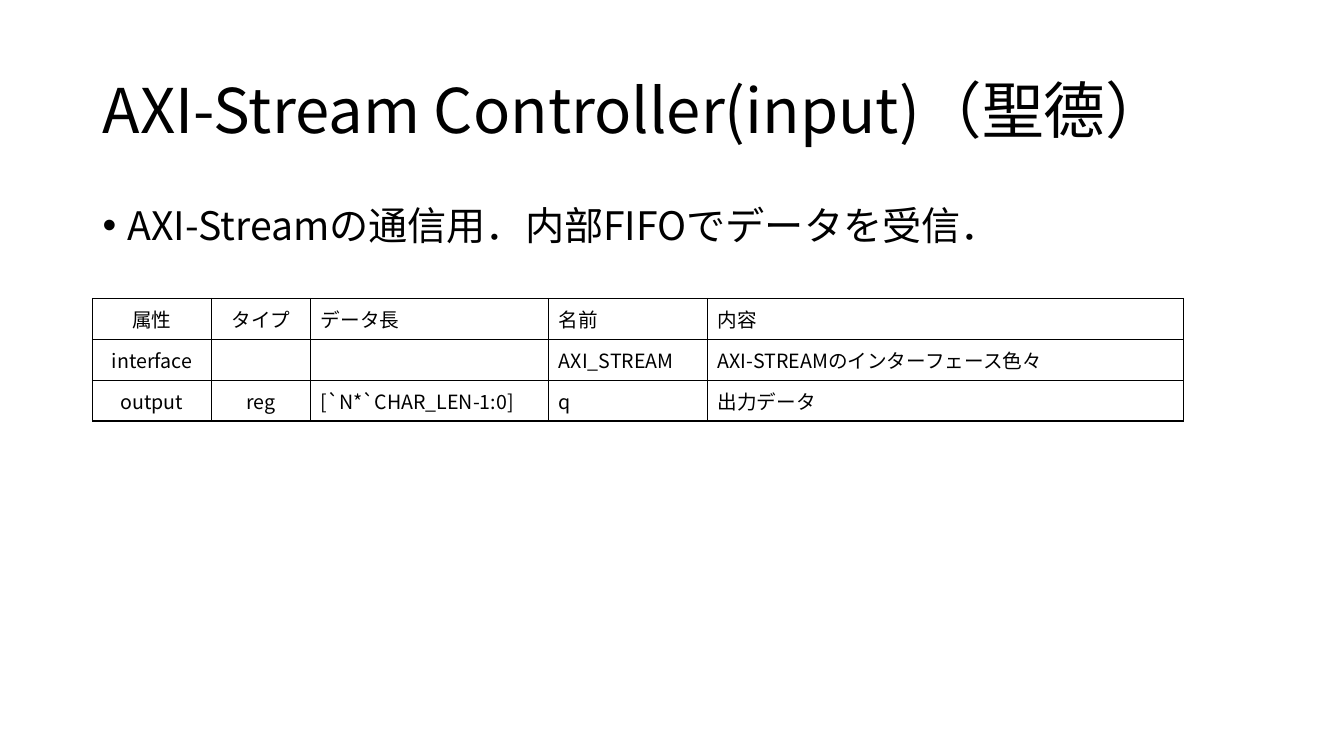
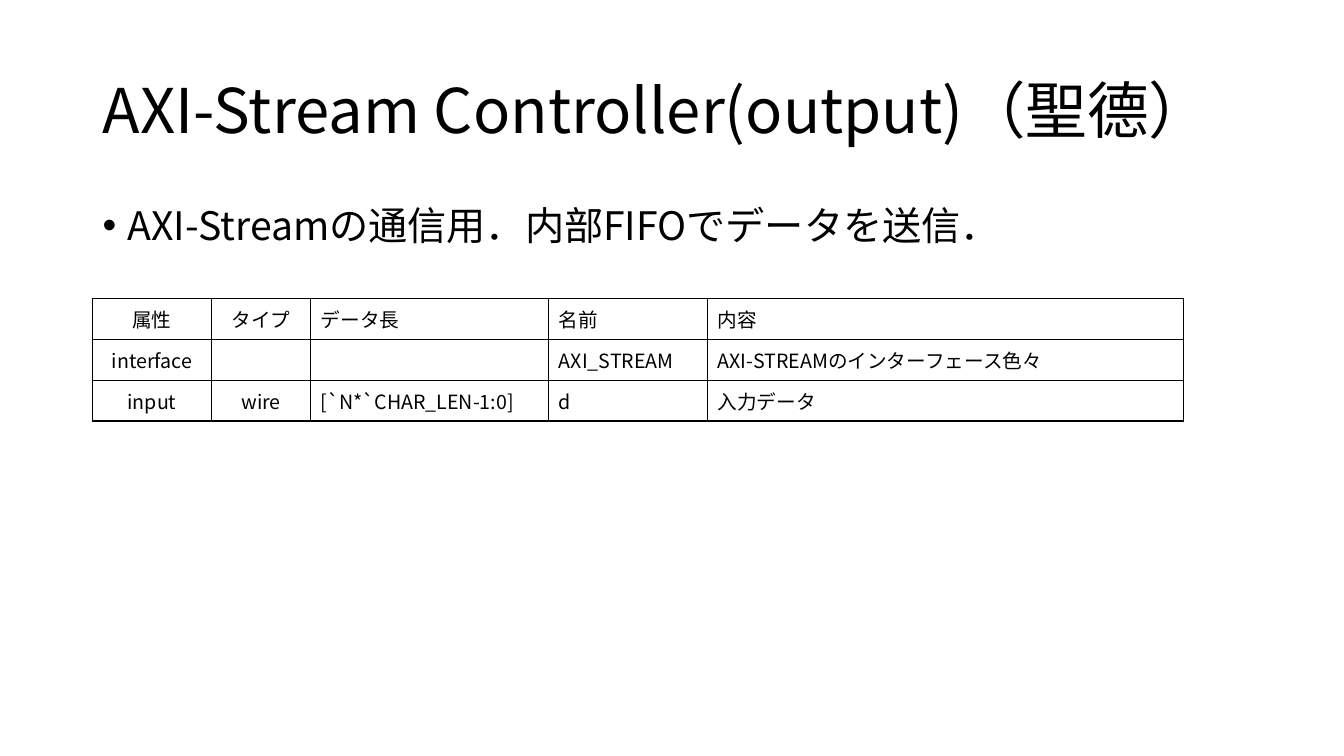
"""Build the slides on the AXI-Stream controllers."""
from dataclasses import dataclass

from lxml import etree
from pptx import Presentation
from pptx import util as u
from pptx.dml.color import RGBColor
from pptx.enum import text
from pptx.oxml import parse_xml
from pptx.oxml.ns import nsdecls, qn


@dataclass(frozen=True)
class Theme:
    """Colours, font and type sizes of the deck."""
    ink: str = "000000"
    paper: str = "FFFFFF"
    font: str = "Noto Sans CJK JP"
    head: int = 44
    body: int = 28
    cell: int = 14
    rule: int = 1


LOOK = Theme()
LEFT, WIDE = 2.33, 29.21
COLS = (3, 2.5, 6, 4, 12)
ROW = 1.03
MID = 2
HEADS = ("属性", "タイプ", "データ長", "名前", "内容")
PORT = ("interface", "", "", "AXI_STREAM", "AXI-STREAMのインターフェース色々")
SPAN = "[`N*`CHAR_LEN-1:0]"
PAGES = (
    ("input", "受信", ("output", "reg", SPAN, "q", "出力データ")),
    ("output", "送信", ("input", "wire", SPAN, "d", "入力データ")),
)


def add_run(para, words, size):
    """Add one run in the deck's font and ink."""
    run = para.add_run()
    run.text = words
    font = run.font
    font.name, font.size = LOOK.font, u.Pt(size)
    font.color.rgb = RGBColor.from_string(LOOK.ink)
    latin = font._element.find(qn("a:latin"))
    latin.addnext(parse_xml(f'<a:ea {nsdecls("a")} typeface="{LOOK.font}"/>'))


def fill_box(box, top, high, words, size, anchor):
    """Move a placeholder and give it one left-aligned paragraph."""
    box.left, box.top = u.Cm(LEFT), u.Cm(top)
    box.width, box.height = u.Cm(WIDE), u.Cm(high)
    frame = box.text_frame
    frame.word_wrap = True
    frame.auto_size = text.MSO_AUTO_SIZE.NONE
    frame.vertical_anchor = anchor
    para = frame.paragraphs[0]
    para.alignment = text.PP_ALIGN.LEFT
    para.line_spacing = 0.9
    add_run(para, words, size)
    return para


def add_list(box, words):
    """Fill the body placeholder with one bulleted line."""
    para = fill_box(box, 5.08, 12.09, words, LOOK.body, text.MSO_ANCHOR.TOP)
    para.space_before = u.Pt(10)
    props = para._p.get_or_add_pPr()
    hang = u.Cm(0.63)
    props.set("marL", str(hang))
    props.set("indent", str(-hang))


def rule_cell(cell):
    """Draw the four borders of a cell and clear its fill."""
    props = cell._tc.get_or_add_tcPr()
    for side in "LRTB":
        props.append(parse_xml(
            f'<a:ln{side} {nsdecls("a")} w="{u.Pt(LOOK.rule)}"><a:solidFill>'
            f'<a:srgbClr val="{LOOK.ink}"/></a:solidFill></a:ln{side}>'))
    cell.fill.background()


def fill_cell(cell, words, align):
    """Write one table cell, keeping the type size when it is empty."""
    cell.vertical_anchor = text.MSO_ANCHOR.MIDDLE
    para = cell.text_frame.paragraphs[0]
    para.alignment = align
    if words:
        add_run(para, words, LOOK.cell)
    else:
        end = etree.SubElement(para._p, qn("a:endParaRPr"))
        end.set("sz", str(LOOK.cell * 100))
    rule_cell(cell)


def add_grid(slide, rows):
    """Add the table of ports."""
    grid = slide.shapes.add_table(
        len(rows), len(COLS), u.Cm(LEFT), u.Cm(7.52),
        u.Cm(sum(COLS)), u.Cm(ROW * len(rows))).table
    grid.first_row = grid.horz_banding = False
    for col, wide in zip(grid.columns, COLS):
        col.width = u.Cm(wide)
    for line, row in zip(grid.rows, rows):
        line.height = u.Cm(ROW)
        for spot, words in enumerate(row):
            align = text.PP_ALIGN.CENTER if spot < MID else text.PP_ALIGN.LEFT
            fill_cell(line.cells[spot], words, align)


def add_page(deck, way, verb, data):
    """Add the slide of one controller."""
    slide = deck.slides.add_slide(deck.slide_layouts[1])
    title, body = slide.placeholders
    fill_box(title, 1.02, 3.68, f"AXI-Stream Controller({way})（聖德）",
             LOOK.head, text.MSO_ANCHOR.MIDDLE)
    add_list(body, f"AXI-Streamの通信用．内部FIFOでデータを{verb}．")
    add_grid(slide, (HEADS, PORT, data))


def main():
    """Build and save the deck."""
    deck = Presentation()
    deck.slide_width, deck.slide_height = u.Cm(33.87), u.Cm(19.05)
    back = deck.slide_master.background.fill
    back.solid()
    back.fore_color.rgb = RGBColor.from_string(LOOK.paper)
    for page in PAGES:
        add_page(deck, *page)
    deck.save("out.pptx")


if __name__ == "__main__":
    main()
